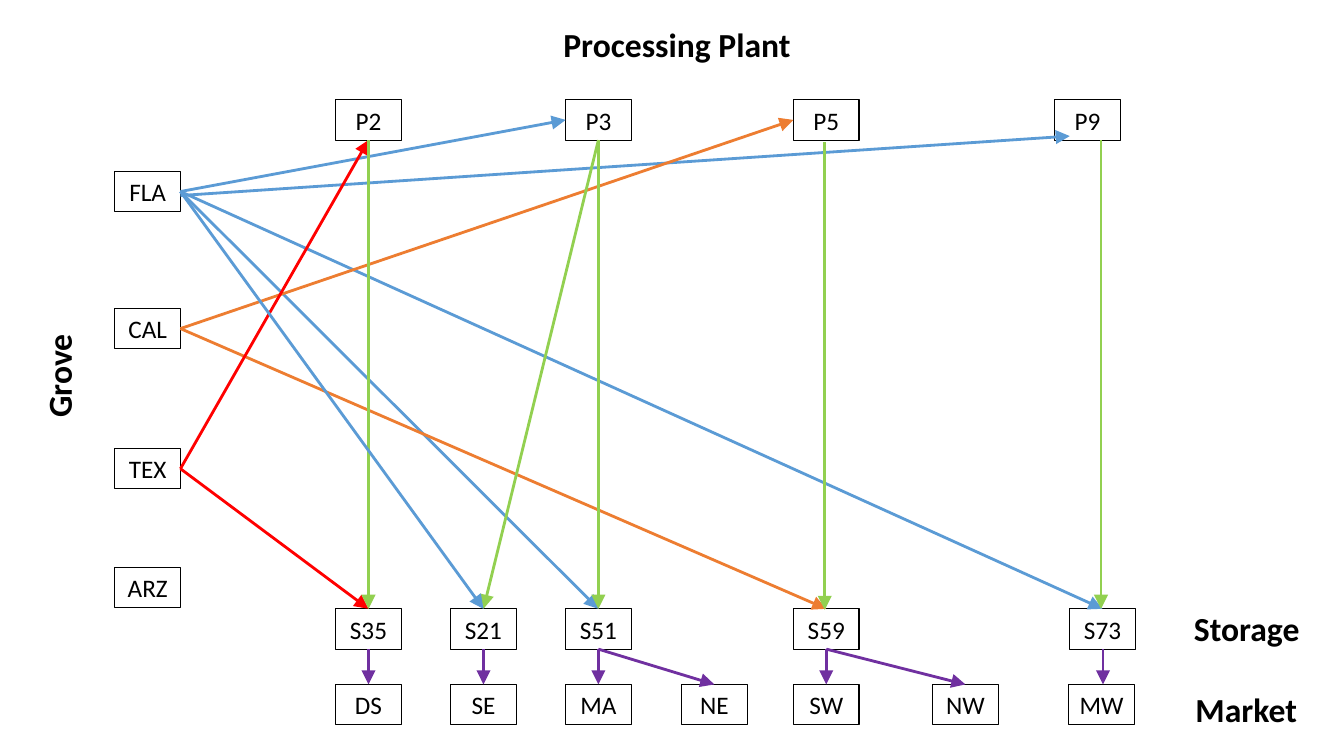
from dataclasses import dataclass

from lxml.etree import SubElement
from pptx import Presentation
from pptx.dml.color import RGBColor
from pptx.enum.shapes import MSO_CONNECTOR, MSO_SHAPE
from pptx.enum.text import MSO_ANCHOR, PP_ALIGN
from pptx.oxml.ns import qn
from pptx.shapes.autoshape import Shape
from pptx.slide import Slide
from pptx.util import Inches, Pt

FONT = "Calibri"
BLACK = RGBColor(0x00, 0x00, 0x00)
BLUE = RGBColor(0x5B, 0x9B, 0xD5)
ORANGE = RGBColor(0xED, 0x7D, 0x31)
RED = RGBColor(0xFF, 0x00, 0x00)
GREEN = RGBColor(0x92, 0xD0, 0x50)
PURPLE = RGBColor(0x70, 0x30, 0xA0)

BOX_WIDTH, BOX_HEIGHT = 0.65, 0.4
GROVE_LEFT = 1.14
PLANT_TOP, STORAGE_TOP, MARKET_TOP = 0.99, 6.04, 6.79

# Connection sites of a rectangle
TOP, LEFT, BOTTOM, RIGHT = range(4)


@dataclass(frozen=True)
class Node:
    name: str
    left: float
    top: float


@dataclass(frozen=True)
class Flow:
    source: str
    target: str
    color: RGBColor
    leave: int = BOTTOM
    enter: int = TOP


@dataclass(frozen=True)
class FreeFlow:
    start: tuple[float, float]
    end: tuple[float, float]
    color: RGBColor


@dataclass(frozen=True)
class Label:
    text: str
    left: float
    top: float
    width: float
    rotation: int = 0


GROVES = {"FLA": 1.7, "CAL": 3.06, "TEX": 4.45, "ARZ": 5.63}
ROWS = {
    PLANT_TOP: {"P2": 3.33, "P3": 5.61, "P5": 7.87, "P9": 10.46},
    STORAGE_TOP: {"S35": 3.33, "S21": 4.47, "S51": 5.61, "S59": 7.87, "S73": 10.61},
    MARKET_TOP: {"DS": 3.33, "SE": 4.47, "MA": 5.61, "NE": 6.76,
                 "SW": 7.87, "NW": 9.25, "MW": 10.6},
}
NODES = [Node(name, GROVE_LEFT, top) for name, top in GROVES.items()] + [
    Node(name, left, top) for top, row in ROWS.items() for name, left in row.items()
]

# Arrows from back to front
FLOWS = [
    Flow("FLA", "P3", BLUE, RIGHT, LEFT),
    FreeFlow((1.79, 1.94), (10.61, 1.35), BLUE),
    Flow("FLA", "S73", BLUE, RIGHT),
    Flow("FLA", "S51", BLUE, RIGHT),
    Flow("CAL", "P5", ORANGE, RIGHT, LEFT),
    Flow("CAL", "S59", ORANGE, RIGHT),
    Flow("TEX", "P2", RED, RIGHT, BOTTOM),
    Flow("TEX", "S35", RED, RIGHT),
    Flow("P2", "S35", GREEN),
    Flow("P3", "S51", GREEN),
    FreeFlow((8.18, 1.41), (8.18, 6.05), GREEN),
    FreeFlow((10.92, 1.39), (10.92, 6.04), GREEN),
    Flow("S35", "DS", PURPLE),
    Flow("S21", "SE", PURPLE),
    Flow("S51", "MA", PURPLE),
    Flow("S51", "NE", PURPLE),
    Flow("S59", "SW", PURPLE),
    Flow("S59", "NW", PURPLE),
    FreeFlow((10.94, 6.44), (10.94, 6.79), PURPLE),
    Flow("P3", "S21", GREEN),
    Flow("FLA", "S21", BLUE, RIGHT),
]

LABELS = [
    Label("Grove", 0.08, 3.48, 1.0, 270),
    Label("Storage", 11.72, 5.98, 1.29),
    Label("Market", 11.65, 6.78, 1.42),
]


def write(shape: Shape, text: str, size: int, bold: bool = False) -> None:
    frame = shape.text_frame
    frame.word_wrap = True
    frame.vertical_anchor = MSO_ANCHOR.MIDDLE
    frame.margin_left = frame.margin_right = Inches(0)
    frame.margin_top = frame.margin_bottom = Inches(0)
    para = frame.paragraphs[0]
    para.alignment = PP_ALIGN.CENTER
    para.line_spacing = 1.0
    span = para.add_run()
    span.text = text
    span.font.name = FONT
    span.font.size = Pt(size)
    span.font.bold = bold
    span.font.color.rgb = BLACK


def add_node(page: Slide, node: Node) -> Shape:
    box = page.shapes.add_shape(
        MSO_SHAPE.RECTANGLE, Inches(node.left), Inches(node.top),
        Inches(BOX_WIDTH), Inches(BOX_HEIGHT))
    box.shadow.inherit = False
    box.fill.background()
    box.line.color.rgb = BLACK
    box.line.width = Pt(0.75)
    write(box, node.name, 18)
    return box


def add_flow(page: Slide, flow: Flow | FreeFlow, boxes: dict[str, Shape]) -> None:
    free = isinstance(flow, FreeFlow)
    points = flow.start + flow.end if free else (0, 0, 0, 0)
    arrow = page.shapes.add_connector(
        MSO_CONNECTOR.STRAIGHT, *(Inches(value) for value in points))
    if not free:
        arrow.begin_connect(boxes[flow.source], flow.leave)
        arrow.end_connect(boxes[flow.target], flow.enter)
    arrow.line.color.rgb = flow.color
    arrow.line.width = Pt(2)
    outline = arrow._element.spPr.find(qn("a:ln"))
    SubElement(outline, qn("a:tailEnd"), type="triangle", w="lg", len="lg")
    SubElement(arrow._element.spPr, qn("a:effectLst"))


def add_label(page: Slide, label: Label) -> None:
    box = page.shapes.add_textbox(
        Inches(label.left), Inches(label.top), Inches(label.width), Inches(0.5))
    box.rotation = label.rotation
    write(box, label.text, 24, bold=True)


deck = Presentation()
deck.slide_width, deck.slide_height = Inches(13.33), Inches(7.5)
page = deck.slides.add_slide(deck.slide_layouts[5])

# Title
title = page.shapes.title
title.left, title.top = Inches(3.86), Inches(0.19)
title.width, title.height = Inches(5.71), Inches(0.5)
write(title, "Processing Plant", 24, bold=True)

# Boxes, arrows and group labels
boxes = {node.name: add_node(page, node) for node in NODES}
for flow in FLOWS:
    add_flow(page, flow, boxes)
for label in LABELS:
    add_label(page, label)

deck.save("out.pptx")
